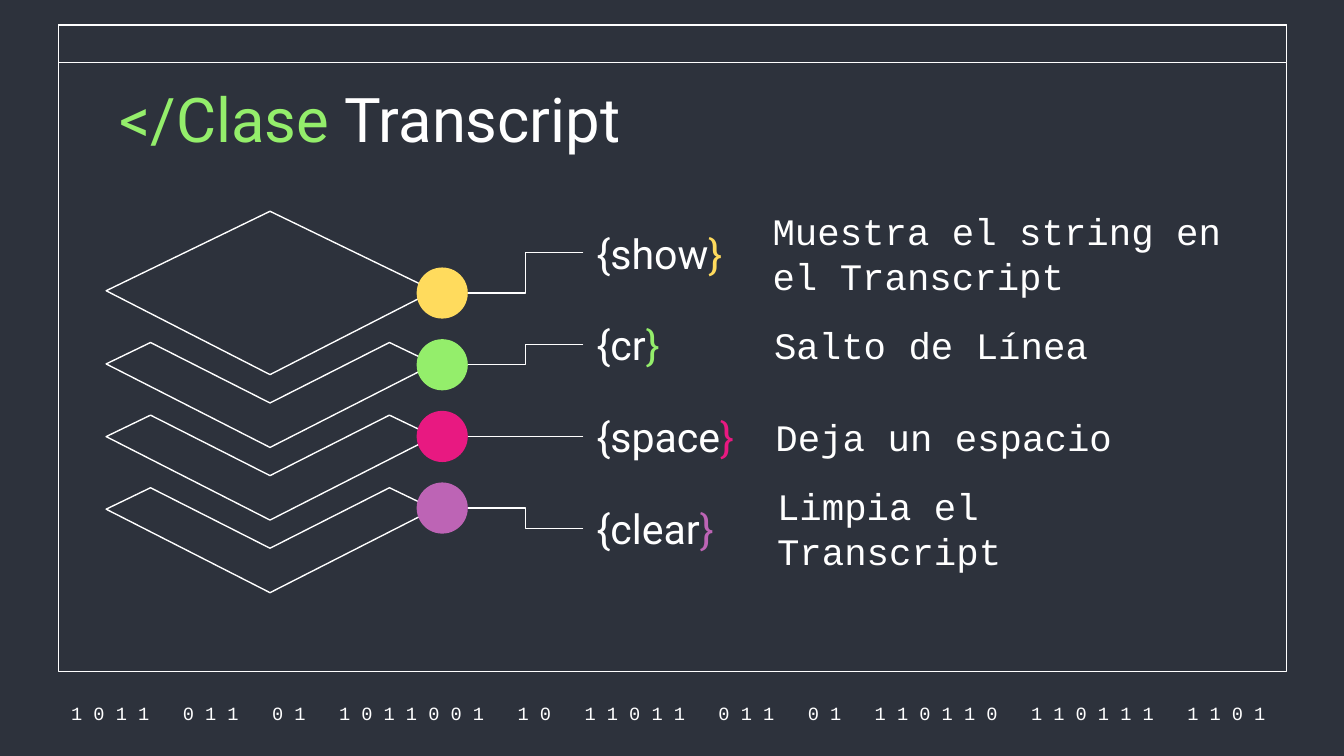
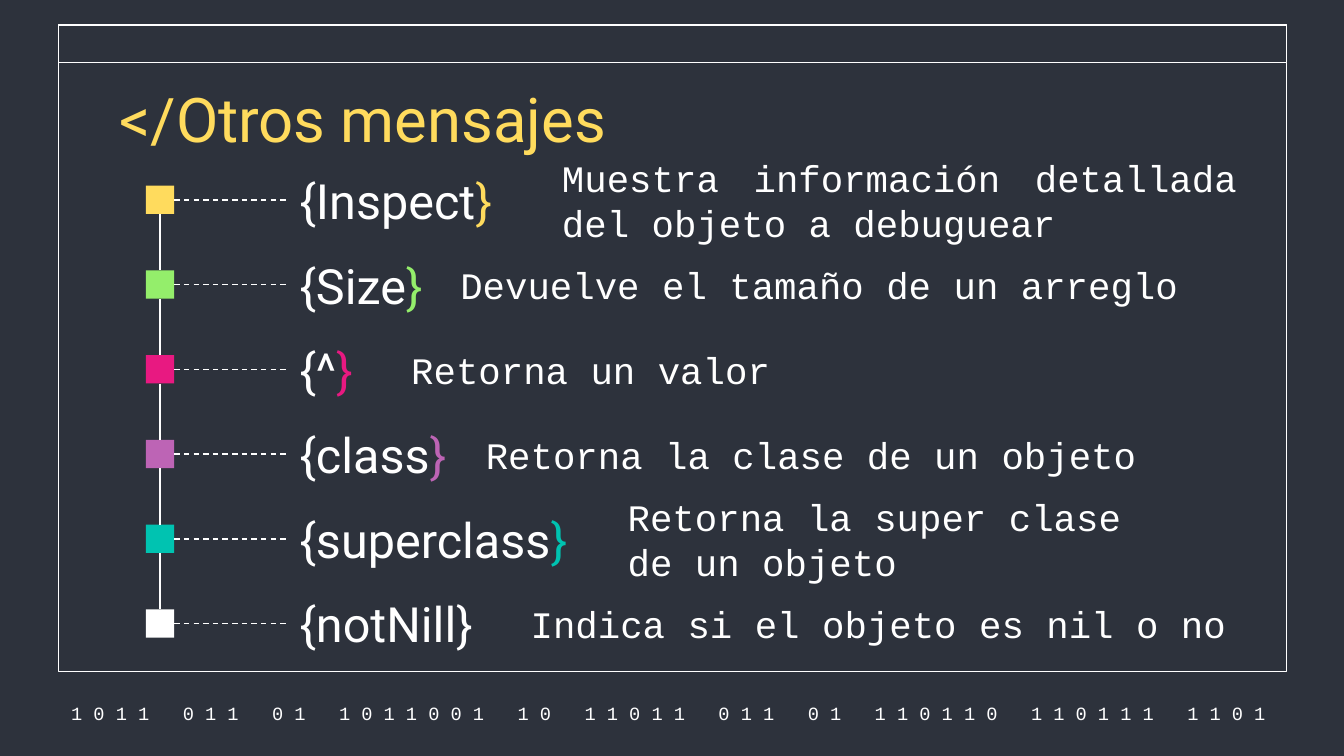
import pptx
import pptx.util
import pptx.dml.color
import pptx.enum.dml
import pptx.enum.shapes
import pptx.enum.text
import pptx.oxml.ns
import lxml.etree

Pt = pptx.util.Pt
RGBColor = pptx.dml.color.RGBColor
SHAPE = pptx.enum.shapes.MSO_SHAPE
CONNECTOR = pptx.enum.shapes.MSO_CONNECTOR
ALIGN = pptx.enum.text.PP_ALIGN
ANCHOR = pptx.enum.text.MSO_ANCHOR

# Shared colours and fonts
DARK = RGBColor(0x2D, 0x32, 0x3C)
WHITE = RGBColor(0xFF, 0xFF, 0xFF)
YELLOW = RGBColor(0xFF, 0xDB, 0x5D)
GREEN = RGBColor(0x94, 0xEE, 0x6B)
PINK = RGBColor(0xE8, 0x19, 0x81)
PURPLE = RGBColor(0xBD, 0x64, 0xB5)
TEAL = RGBColor(0x00, 0xC3, 0xB1)
HEADING_FONT = "Roboto"
BODY_FONT = "Courier New"
LINE_WIDTH = 0.75
ROW_HEIGHT = 36

BINARY_GROUPS = "1011 011 01 1011001 10 11011 011 01 110110 110111 1101".split()

# Transcript slide: message, description, colour
TRANSCRIPT_ROWS = [
    ("show", "Muestra el string en el Transcript", YELLOW),
    ("cr", "Salto de Línea", GREEN),
    ("space", "Deja un espacio", PINK),
    ("clear", "Limpia el Transcript", PURPLE),
]

# Other messages: message, label width, description, left, width, alignment, colour
MESSAGE_ROWS = [
    ("Inspect", 144.7, "Muestra información detallada del objeto a debuguear",
     294, 376, ALIGN.JUSTIFY, YELLOW),
    ("Size", 105.8, "Devuelve el tamaño de un arreglo", 239.5, 402.5, ALIGN.JUSTIFY, GREEN),
    ("^", 84.2, "Retorna un valor", 213.2, 428.4, ALIGN.LEFT, PINK),
    ("class", 99.4, "Retorna la clase de un objeto", 253.2, 383.8, ALIGN.LEFT, PURPLE),
    ("superclass", 171.4, "Retorna la super clase de un objeto",
     329.2, 312.5, ALIGN.LEFT, TEAL),
    ("notNill", 128.2, "Indica si el objeto es nil o no", 277.2, 393, ALIGN.LEFT, WHITE),
]


def add_text(slide, left, top, width, height, runs, size, font,
             align=ALIGN.LEFT, anchor=ANCHOR.MIDDLE):
    """Text box whose runs are (text, colour) pairs."""
    box = slide.shapes.add_textbox(Pt(left), Pt(top), Pt(width), Pt(height))
    frame = box.text_frame
    frame.word_wrap = True
    frame.vertical_anchor = anchor
    frame.margin_left = frame.margin_right = Pt(7.2)
    frame.margin_top = frame.margin_bottom = Pt(7.2)
    paragraph = frame.paragraphs[0]
    paragraph.alignment = align
    for text, color in runs:
        run = paragraph.add_run()
        run.text = text
        run.font.size = Pt(size)
        run.font.name = font
        run.font.color.rgb = color
    return box


def add_label(slide, left, center, width, message, color, size):
    runs = [("{" + message, WHITE), ("}", color)]
    return add_text(slide, left, center - ROW_HEIGHT / 2, width, ROW_HEIGHT,
                    runs, size, HEADING_FONT)


def add_description(slide, left, center, width, text, align=ALIGN.LEFT):
    return add_text(slide, left, center - ROW_HEIGHT / 2, width, ROW_HEIGHT,
                    [(text, WHITE)], 20, BODY_FONT, align)


def add_filled(slide, kind, left, top, width, height, fill, outline=None):
    shape = slide.shapes.add_shape(kind, Pt(left), Pt(top), Pt(width), Pt(height))
    shape.shadow.inherit = False
    shape.fill.solid()
    shape.fill.fore_color.rgb = fill
    if outline is None:
        shape.line.fill.background()
    else:
        shape.line.color.rgb = outline
        shape.line.width = Pt(LINE_WIDTH)
    return shape


def add_line(slide, begin=(0, 0), end=(0, 0), kind=CONNECTOR.STRAIGHT, dashed=False):
    line = slide.shapes.add_connector(kind, *map(Pt, begin + end))
    line.line.color.rgb = WHITE
    line.line.width = Pt(LINE_WIDTH)
    if dashed:
        line.line.dash_style = pptx.enum.dml.MSO_LINE.DASH
    lxml.etree.SubElement(line._element.spPr, pptx.oxml.ns.qn("a:effectLst"))
    return line


def add_outline(slide, points):
    corners = [(Pt(x), Pt(y)) for x, y in points]
    builder = slide.shapes.build_freeform(*corners[0])
    builder.add_line_segments(corners[1:], close=True)
    shape = builder.convert_to_shape()
    shape.shadow.inherit = False
    shape.fill.background()
    shape.line.color.rgb = WHITE
    shape.line.width = Pt(LINE_WIDTH)


def add_base_slide(presentation, title_runs):
    """Slide with background, window frame, binary footer and title."""
    slide = presentation.slides.add_slide(presentation.slide_layouts[6])
    slide.background.fill.solid()
    slide.background.fill.fore_color.rgb = DARK
    for height in (346.5, 20):
        add_filled(slide, SHAPE.RECTANGLE, 31.2, 13.4, 658, height, DARK, WHITE)
    footer = "   ".join(" ".join(group) for group in BINARY_GROUPS)
    add_text(slide, 27.2, 374.7, 667.4, 14.4, [(footer + " ", WHITE)], 10,
             BODY_FONT, ALIGN.CENTER)
    add_text(slide, 56.9, 36, 607, 45.4, title_runs, 33, HEADING_FONT, anchor=ANCHOR.TOP)
    return slide


def add_layers(slide):
    """Stack of three chevron bands under a full diamond."""
    left, inner_left, middle, inner_right, right = 56.9, 80.7, 144.7, 208.7, 232.6
    for top in (261.3, 222.4, 183.5):
        add_outline(slide, [(inner_left, top), (left, top + 11.5), (middle, top + 56.2),
                            (right, top + 11.5), (inner_right, top), (middle, top + 32.4)])
    add_outline(slide, [(middle, 113.2), (left, 155.8), (middle, 200.7), (right, 155.8)])


def build_transcript_slide(presentation):
    slide = add_base_slide(presentation, [("</Clase ", GREEN), ("Transcript", WHITE)])
    label_left, dot_left, dot_size = 312.5, 223.2, 27.4
    label_centers = [135.4 + 49.2 * row for row in range(len(TRANSCRIPT_ROWS))]
    dot_centers = [157 + 38.4 * row for row in range(len(TRANSCRIPT_ROWS))]

    for row, (message, description, color) in enumerate(TRANSCRIPT_ROWS):
        left = 406.8 + 0.8 * row
        add_description(slide, left, label_centers[row], 663.8 - left, description)
        add_label(slide, label_left, label_centers[row], left - label_left,
                  message, color, 22)
    for label_center, dot_center in zip(label_centers, dot_centers):
        add_line(slide, (label_left, label_center), (dot_left + dot_size, dot_center),
                 CONNECTOR.ELBOW)
    add_layers(slide)
    for dot_center, (_, _, color) in zip(dot_centers, TRANSCRIPT_ROWS):
        add_filled(slide, SHAPE.OVAL, dot_left, dot_center - dot_size / 2,
                   dot_size, dot_size, color)


def build_messages_slide(presentation):
    slide = add_base_slide(presentation, [("</Otros mensajes", YELLOW)])
    square_size = 15.2
    previous = None
    for row, (message, label_width, description, left, width, align, color) in enumerate(
            MESSAGE_ROWS):
        center = 107.1 + 45.4 * row
        add_description(slide, left, center, width, description, align)
        label = add_label(slide, 153.4, center, label_width, message, color, 26)
        square = add_filled(slide, SHAPE.RECTANGLE, 78.2, center - square_size / 2,
                            square_size, square_size, color)
        dash = add_line(slide, dashed=True)
        dash.begin_connect(square, 3)
        dash.end_connect(label, 1)
        if previous is not None:
            spine = add_line(slide)
            spine.begin_connect(previous, 2)
            spine.end_connect(square, 0)
        previous = square


def main():
    presentation = pptx.Presentation()
    presentation.slide_width = Pt(720)
    presentation.slide_height = Pt(405)
    build_transcript_slide(presentation)
    build_messages_slide(presentation)
    presentation.save("out.pptx")


if __name__ == "__main__":
    main()
